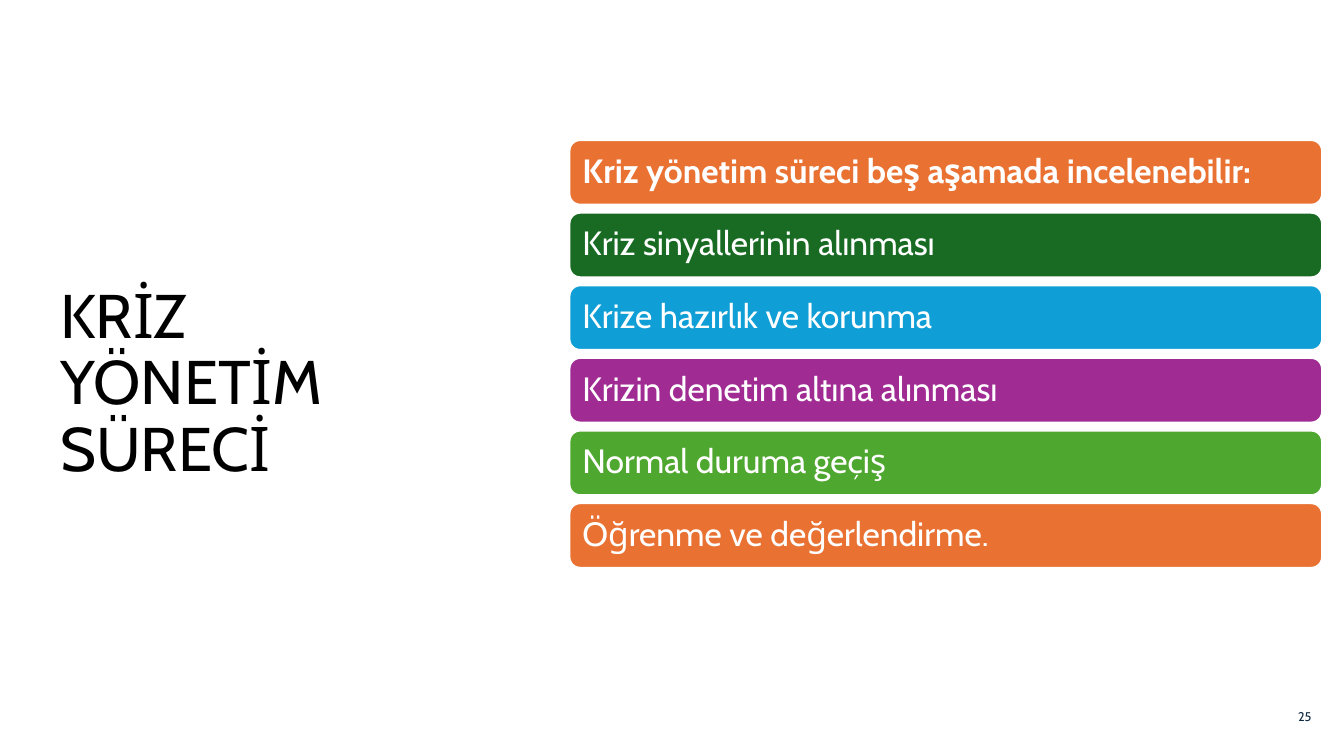
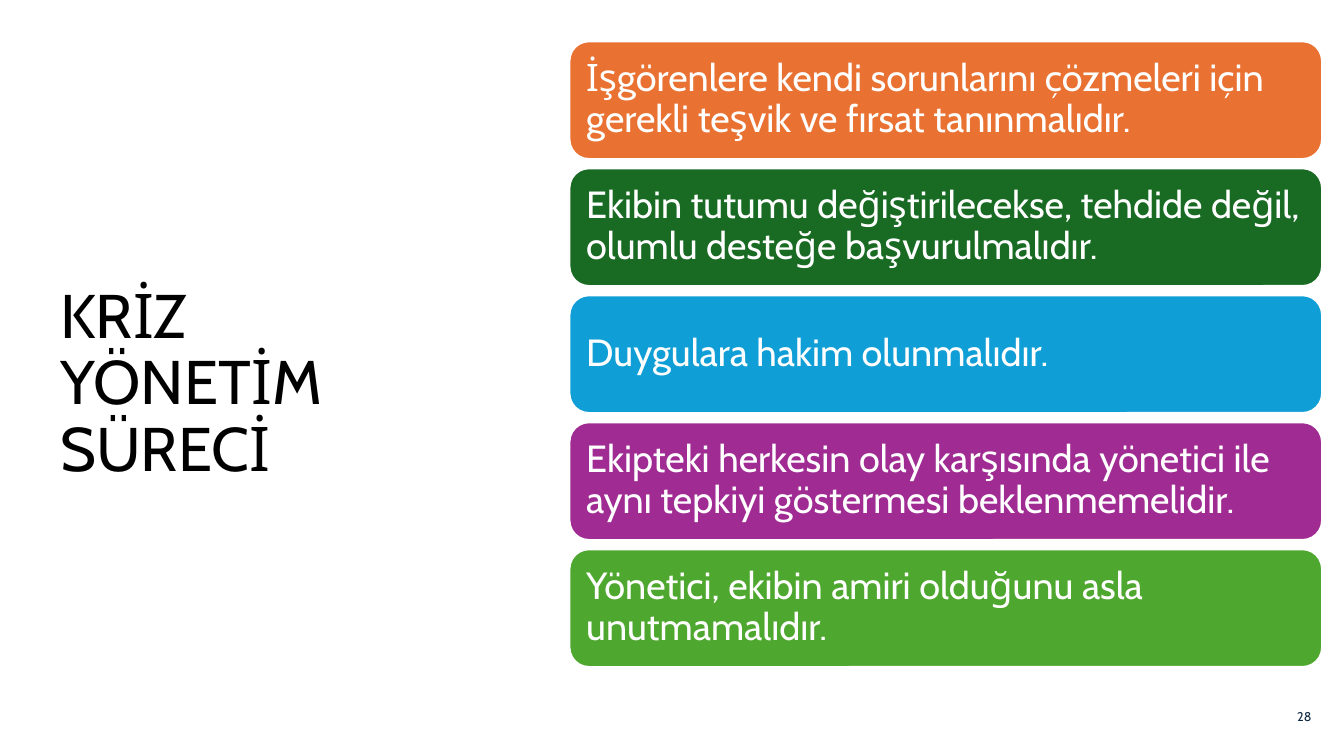
import pptx
import pptx.dml.color
import pptx.enum.shapes
import pptx.enum.text
import pptx.util

Cm = pptx.util.Cm
Pt = pptx.util.Pt
RGBColor = pptx.dml.color.RGBColor
PP_ALIGN = pptx.enum.text.PP_ALIGN

# Shared look
FONT = "Cabin"
BLACK = RGBColor(0x00, 0x00, 0x00)
WHITE = RGBColor(0xFF, 0xFF, 0xFF)
NAVY = RGBColor(0x0E, 0x28, 0x41)
ORANGE = RGBColor(0xE9, 0x71, 0x32)
DARK_GREEN = RGBColor(0x19, 0x6B, 0x24)
BLUE = RGBColor(0x0F, 0x9E, 0xD5)
PURPLE = RGBColor(0xA0, 0x2B, 0x93)
GREEN = RGBColor(0x4E, 0xA7, 0x2E)
BAND_COLOURS = [ORANGE, DARK_GREEN, BLUE, PURPLE, GREEN]

TITLE = "KRİZ YÖNETİM SÜRECİ"
BAND_LEFT, BAND_WIDTH = 14.35, 18.97

# Slide content; band lengths in cm, text sizes in points
STAGES = {
    "number": "25",
    "top": 3.53, "height": 1.63, "step": 1.83, "inset": 0.25, "size": 24,
    "bold_first": True,
    "bands": [
        "Kriz yönetim süreci beş aşamada incelenebilir:",
        "Kriz sinyallerinin alınması",
        "Krize hazırlık ve korunma",
        "Krizin denetim altına alınması",
        "Normal duruma geçiş",
        "Öğrenme ve değerlendirme.",
    ],
}
PRINCIPLES = {
    "number": "28",
    "top": 1.04, "height": 2.97, "step": 3.2, "inset": 0.28, "size": 27,
    "bold_first": False,
    "bands": [
        "İşgörenlere kendi sorunlarını çözmeleri için gerekli teşvik ve "
        "fırsat tanınmalıdır.",
        "Ekibin tutumu değiştirilecekse, tehdide değil, olumlu desteğe "
        "başvurulmalıdır.",
        "Duygulara hakim olunmalıdır.",
        "Ekipteki herkesin olay karşısında yönetici ile aynı tepkiyi "
        "göstermesi beklenmemelidir.",
        "Yönetici, ekibin amiri olduğunu asla unutmamalıdır.",
    ],
}


def write(frame, text, size, colour, align=PP_ALIGN.LEFT, bold=False):
    """Write one vertically centred paragraph into a text frame."""
    frame.word_wrap = True
    frame.vertical_anchor = pptx.enum.text.MSO_ANCHOR.MIDDLE
    paragraph = frame.paragraphs[0]
    paragraph.alignment = align
    paragraph.line_spacing = 0.9
    run = paragraph.add_run()
    run.text = text
    run.font.name = FONT
    run.font.size = Pt(size)
    run.font.bold = bold
    run.font.color.rgb = colour


def add_title(slide):
    title = slide.shapes.add_textbox(Cm(1.27), Cm(2.01), Cm(10.36), Cm(15.37))
    write(title.text_frame, TITLE, 44, BLACK)


def add_page_number(slide, number):
    page = slide.shapes.add_textbox(Cm(31.09), Cm(17.58), Cm(2.21), Cm(1.02))
    write(page.text_frame, number, 9, NAVY, PP_ALIGN.RIGHT)


def add_band(slide, top, height, colour, inset):
    """Add a rounded band and return its text frame."""
    band = slide.shapes.add_shape(
        pptx.enum.shapes.MSO_SHAPE.ROUNDED_RECTANGLE,
        Cm(BAND_LEFT), Cm(top), Cm(BAND_WIDTH), Cm(height))
    band.shadow.inherit = False
    band.fill.solid()
    band.fill.fore_color.rgb = colour
    band.line.color.rgb = WHITE
    band.line.width = Pt(1.5)
    frame = band.text_frame
    frame.margin_left = frame.margin_right = Cm(inset)
    frame.margin_top = frame.margin_bottom = Cm(inset)
    return frame


def add_band_slide(deck, content):
    slide = deck.slides.add_slide(deck.slide_layouts[6])
    add_title(slide)
    add_page_number(slide, content["number"])
    # Bands run down the right side, cycling through the colours
    for index, text in enumerate(content["bands"]):
        top = content["top"] + index * content["step"]
        colour = BAND_COLOURS[index % len(BAND_COLOURS)]
        frame = add_band(slide, top, content["height"], colour,
                         content["inset"])
        write(frame, text, content["size"], WHITE,
              bold=content["bold_first"] and index == 0)


def main():
    deck = pptx.Presentation()
    deck.slide_width, deck.slide_height = Cm(33.87), Cm(19.05)
    for content in (STAGES, PRINCIPLES):
        add_band_slide(deck, content)
    deck.save("out.pptx")


if __name__ == "__main__":
    main()
